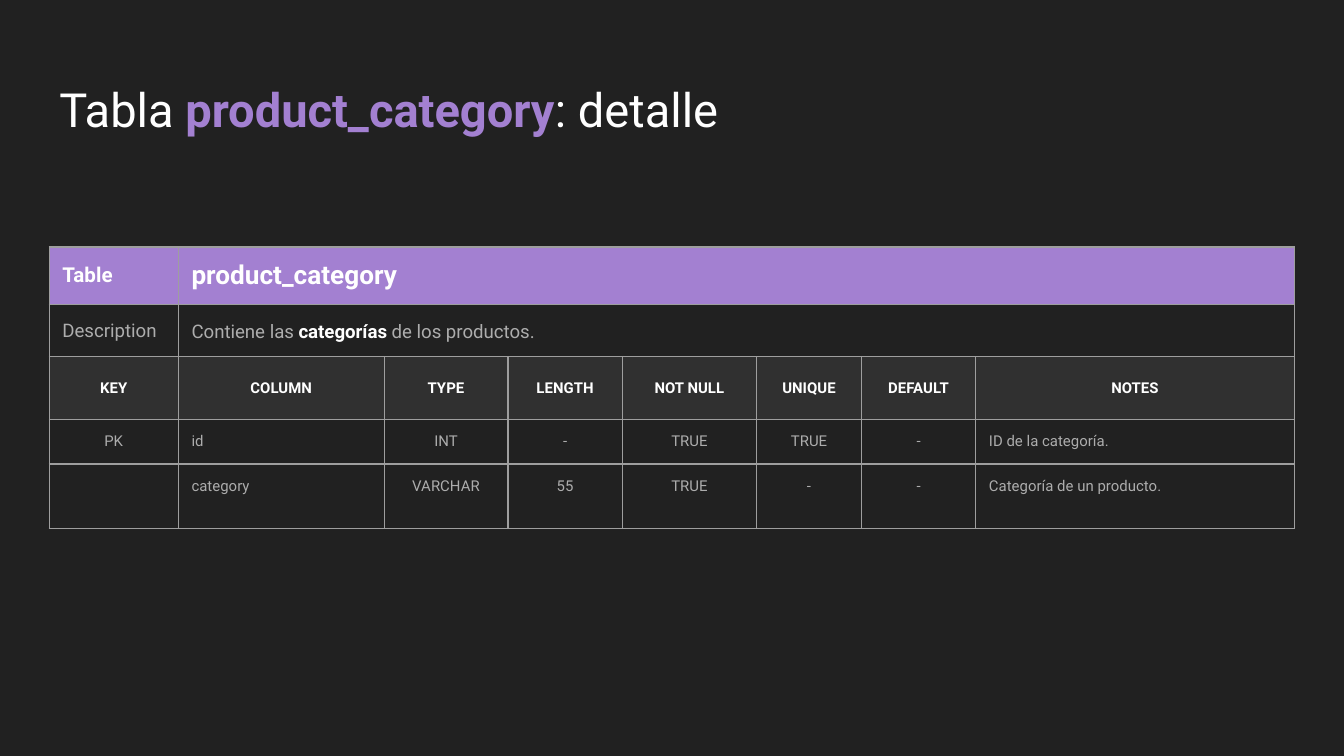
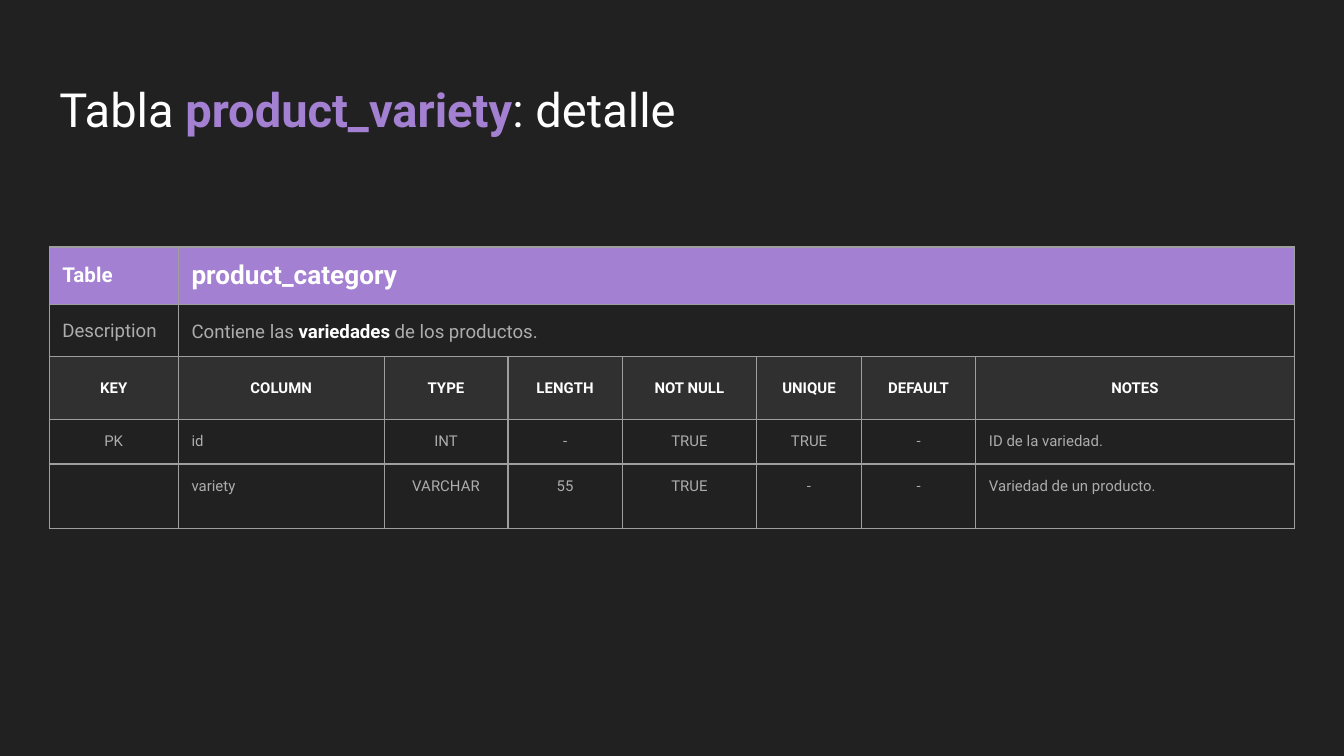
"""Build two slides that describe the columns of database tables."""

from dataclasses import dataclass
from typing import NamedTuple

from lxml import etree
from pptx import Presentation
from pptx.dml.color import RGBColor
from pptx.enum.text import MSO_ANCHOR, MSO_AUTO_SIZE, PP_ALIGN
from pptx.oxml.ns import qn
from pptx.presentation import Presentation as Deck
from pptx.slide import Slide
from pptx.table import Table, _Cell
from pptx.text.text import TextFrame, _Paragraph
from pptx.util import Cm, Pt

LEFT, CENTER = PP_ALIGN.LEFT, PP_ALIGN.CENTER
TOP, MIDDLE = MSO_ANCHOR.TOP, MSO_ANCHOR.MIDDLE
NO_FIT = MSO_AUTO_SIZE.NONE

DARK = RGBColor(0x21, 0x21, 0x21)
PANEL = RGBColor(0x30, 0x30, 0x30)
PURPLE = RGBColor(0xA3, 0x80, 0xD1)
WHITE = RGBColor(0xFF, 0xFF, 0xFF)
GREY = RGBColor(0xAD, 0xAD, 0xAD)
RULE = RGBColor(0x9E, 0x9E, 0x9E)

FONT = "Roboto"
INSET = Cm(0.25)
WIDTHS = [Cm(w) for w in (2.44, 3.89, 2.34, 2.16, 2.54, 1.98, 2.16, 6.02)]
HEIGHTS = [Cm(h) for h in (1.09, 0.98, 1.19, 0.84, 1.22)]
HEADS = ("KEY", "COLUMN", "TYPE", "LENGTH", "NOT NULL", "UNIQUE", "DEFAULT", "NOTES")
ALIGNS = (CENTER, LEFT, CENTER, CENTER, CENTER, CENTER, CENTER, LEFT)


class Span(NamedTuple):
    """A run of text with its look."""

    text: str
    size: float
    color: RGBColor = GREY
    bold: bool = False


@dataclass(frozen=True)
class Detail:
    """The words that differ between the slides."""

    name: str
    label: str
    topic: str
    field: str
    notes: tuple[str, str]

    def rows(self) -> list[tuple[str, ...]]:
        """Return the rows for the columns of the table."""
        return [
            ("PK", "id", "INT", "-", "TRUE", "TRUE", "-", self.notes[0]),
            ("", self.field, "VARCHAR", "55", "TRUE", "-", "-", self.notes[1]),
        ]


DETAILS = (
    Detail("product_category", "product_category", "categorías", "category",
           ("ID de la categoría.", "Categoría de un producto.")),
    Detail("product_variety", "product_category", "variedades", "variety",
           ("ID de la variedad.", "Variedad de un producto.")),
)


def write(para: _Paragraph, *spans: Span) -> None:
    """Add spans to a paragraph, run by run."""
    for span in spans:
        run = para.add_run()
        run.text = span.text
        font = run.font
        font.name = FONT
        font.size = Pt(span.size)
        font.bold = span.bold
        font.color.rgb = span.color


def pad(item: TextFrame | _Cell) -> None:
    """Set equal insets on all sides."""
    item.margin_left = item.margin_right = INSET
    item.margin_top = item.margin_bottom = INSET


def outline(cell: _Cell) -> None:
    """Draw a thin rule on each side of a cell."""
    props = cell._tc.get_or_add_tcPr()
    for side in ("lnL", "lnR", "lnT", "lnB"):
        line = etree.SubElement(props, qn(f"a:{side}"), w=str(Pt(0.75)))
        fill = etree.SubElement(line, qn("a:solidFill"))
        etree.SubElement(fill, qn("a:srgbClr"), val=str(RULE))


def put(cell: _Cell, *spans: Span, align: PP_ALIGN = LEFT,
        anchor: MSO_ANCHOR = MIDDLE) -> _Paragraph:
    """Fill a cell with text and return its paragraph."""
    pad(cell)
    cell.vertical_anchor = anchor
    para = cell.text_frame.paragraphs[0]
    para.alignment = align
    if any(span.text for span in spans):
        write(para, *spans)
    else:
        etree.SubElement(para._p, qn("a:endParaRPr"), sz="800")
    return para


def add_title(slide: Slide, name: str) -> None:
    """Place the title with the table name picked out."""
    title = slide.shapes.title
    title.left, title.top = Cm(0.87), Cm(1.25)
    title.width, title.height = Cm(23.67), Cm(1.6)
    frame = title.text_frame
    frame.word_wrap = True
    frame.auto_size = NO_FIT
    frame.vertical_anchor = MIDDLE
    pad(frame)
    para = frame.paragraphs[0]
    para.alignment = LEFT
    write(para, Span("Tabla ", 25.2, WHITE), Span(name, 25.2, PURPLE, True),
          Span(": detalle", 25.2, WHITE))


def make_grid(slide: Slide) -> Table:
    """Add the empty ruled table with its merged cells and fills."""
    grid = slide.shapes.add_table(
        len(HEIGHTS), len(WIDTHS), Cm(0.93), Cm(4.67), sum(WIDTHS), sum(HEIGHTS)
    ).table
    grid.first_row = grid.horz_banding = False
    for col, width in zip(grid.columns, WIDTHS):
        col.width = width
    fills = {0: PURPLE, 2: PANEL}
    for index, (row, height) in enumerate(zip(grid.rows, HEIGHTS)):
        row.height = height
        for cell in row.cells:
            outline(cell)
            if index in fills:
                cell.fill.solid()
                cell.fill.fore_color.rgb = fills[index]
            else:
                cell.fill.background()
    for index in (0, 1):
        grid.cell(index, 1).merge(grid.cell(index, len(WIDTHS) - 1))
    return grid


def add_grid(slide: Slide, detail: Detail) -> None:
    """Add the table that details each column."""
    grid = make_grid(slide)
    put(grid.cell(0, 0), Span("Table", 11, WHITE, True))
    put(grid.cell(0, 1), Span(detail.label, 14, WHITE, True))
    put(grid.cell(1, 0), Span("Description", 10))
    para = put(grid.cell(1, 1), Span("Contiene las ", 10),
               Span(f"{detail.topic} ", 10, WHITE, True),
               Span("de los productos.", 10))
    para.line_spacing = 1.15
    para.space_after = Pt(12)
    for col, head in enumerate(HEADS):
        put(grid.cell(2, col), Span(head, 8, WHITE, True), align=CENTER)
    for row, texts in enumerate(detail.rows(), start=3):
        for col, (text, align) in enumerate(zip(texts, ALIGNS)):
            put(grid.cell(row, col), Span(text, 8), align=align, anchor=TOP)


def add_slide(deck: Deck, detail: Detail) -> None:
    """Add one slide for a table."""
    slide = deck.slides.add_slide(deck.slide_layouts.get_by_name("Title Only"))
    add_title(slide, detail.name)
    add_grid(slide, detail)


def main() -> None:
    """Build and save the deck."""
    deck = Presentation()
    deck.slide_width, deck.slide_height = Cm(25.4), Cm(14.29)
    back = deck.slide_master.background.fill
    back.solid()
    back.fore_color.rgb = DARK
    for detail in DETAILS:
        add_slide(deck, detail)
    deck.save("out.pptx")


if __name__ == "__main__":
    main()
